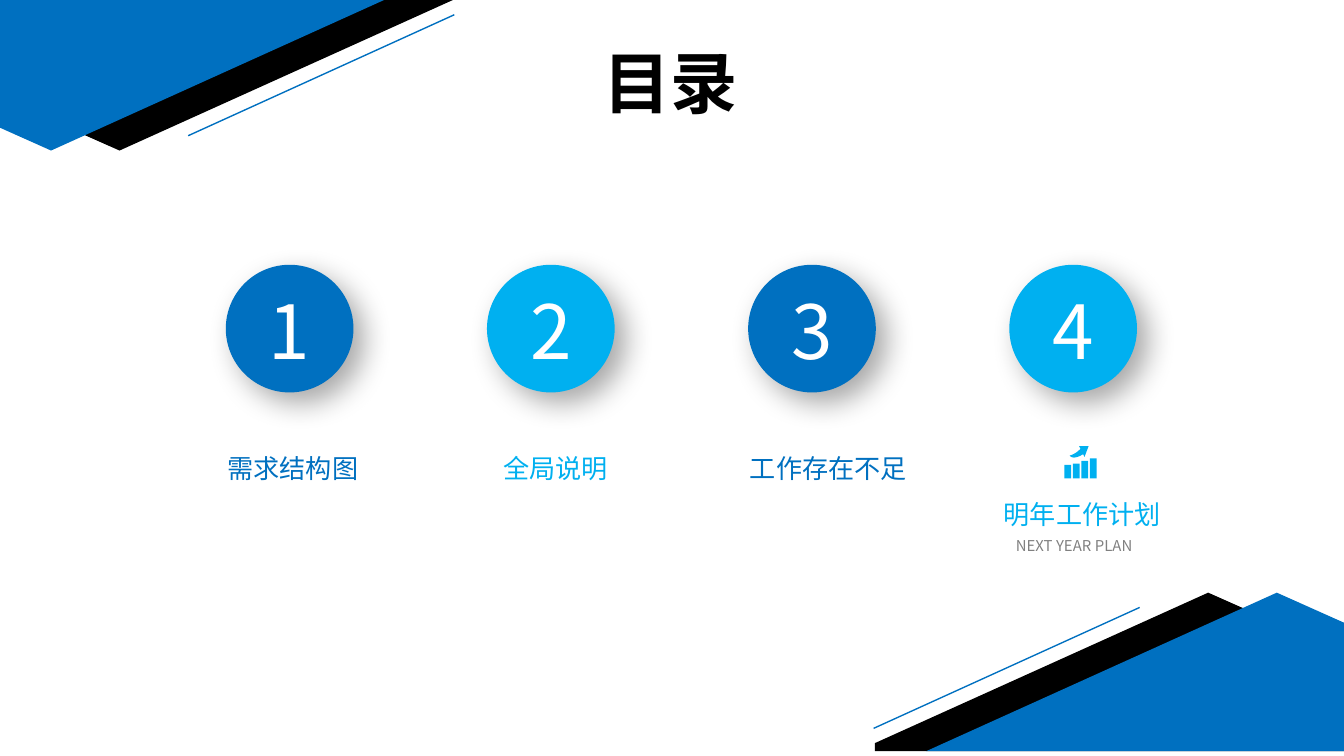
from lxml import etree
from pptx import Presentation
from pptx.dml.color import RGBColor
from pptx.enum.shapes import MSO_CONNECTOR, MSO_SHAPE
from pptx.enum.text import MSO_ANCHOR, PP_ALIGN
from pptx.oxml import parse_xml
from pptx.oxml.ns import qn
from pptx.util import Inches, Pt

OVAL, RECTANGLE = MSO_SHAPE.OVAL, MSO_SHAPE.RECTANGLE
STRAIGHT = MSO_CONNECTOR.STRAIGHT
LEFT, CENTER, JUSTIFY = PP_ALIGN.LEFT, PP_ALIGN.CENTER, PP_ALIGN.JUSTIFY
TOP, MIDDLE = MSO_ANCHOR.TOP, MSO_ANCHOR.MIDDLE
NAMESPACE = "http://schemas.openxmlformats.org/drawingml/2006/main"
FONT = "Noto Sans CJK SC"
COLORS = {
    "blue": "0070C0",
    "sky": "00B0F0",
    "black": "000000",
    "white": "FFFFFF",
    "gray": "808080",
}
SLIDE_WIDTH = Inches(10)
SLIDE_HEIGHT = SLIDE_WIDTH * 9 // 16
CIRCLE = 0.95
FIRST_LEFT, LAST_LEFT, CIRCLE_TOP = 1.68, 7.51, 1.97
LABELS = [
    ("需求结构图", "blue", (1.48, 3.32, 1.4, 0.34), CENTER),
    ("全局说明", "sky", (3.64, 3.32, 0.99, 0.34), CENTER),
    ("工作存在不足", "blue", (5.43, 3.32, 1.47, 0.34), CENTER),
    ("明年工作计划", "sky", (7.37, 3.66, 1.42, 0.34), LEFT),
]


def color(name):
    """Return the named palette colour."""
    return RGBColor.from_string(COLORS[name])


def write(shape, text, size=14, fill="black", font=FONT, bold=False,
          align=LEFT, anchor=TOP, wrap=True):
    """Write one formatted paragraph into a shape."""
    frame = shape.text_frame
    frame.word_wrap = wrap
    frame.vertical_anchor = anchor
    paragraph = frame.paragraphs[0]
    paragraph.alignment = align
    run = paragraph.add_run()
    run.text = text
    run.font.name = font
    run.font.size = Pt(size)
    run.font.bold = bold
    run.font.color.rgb = color(fill)
    east_asian = etree.SubElement(run.font._element, qn("a:ea"))
    east_asian.set("typeface", FONT)


def add_text(slide, box, text, **style):
    """Add a text box with formatted text."""
    write(slide.shapes.add_textbox(*map(Inches, box)), text, **style)


def paint(shape, fill):
    """Give a shape a flat fill without line or shadow."""
    shape.fill.solid()
    shape.fill.fore_color.rgb = color(fill)
    shape.line.fill.background()
    shape.shadow.inherit = False


def add_polygon(slide, points, fill):
    """Add a closed outline through points given in inches."""
    start, *rest = [(Inches(x), Inches(y)) for x, y in points]
    builder = slide.shapes.build_freeform(*start)
    builder.add_line_segments(rest, close=True)
    paint(builder.convert_to_shape(), fill)


def curve(start, first, second, end, steps=10):
    """Return points along a cubic curve, without its start."""
    def point(t):
        weights = ((1 - t) ** 3, 3 * t * (1 - t) ** 2, 3 * t * t * (1 - t), t ** 3)
        corners = (start, first, second, end)
        return tuple(sum(w * c[axis] for w, c in zip(weights, corners)) for axis in (0, 1))
    return [point(step / steps) for step in range(1, steps + 1)]


def add_corner(slide, box, turned=False):
    """Place the slanted corner bands in a box, optionally turned by 180 degrees."""
    left, top, width, height = box

    def place(x, y):
        return (left + width - x, top + height - y) if turned else (left + x, top + y)

    black_band = [(5.63, 0), (5.63, 0.06), (3.15, 1.18), (0.49, 0)]
    blue_band = [(5.25, 0), (2.64, 1.18), (0, 0)]
    for points, fill in ((black_band, "black"), (blue_band, "blue")):
        add_polygon(slide, [place(*point) for point in points], fill)
    ends = place(3.66, 1.07) + place(5.64, 0.17)
    line = slide.shapes.add_connector(STRAIGHT, *map(Inches, ends))
    line.line.color.rgb = color("blue")
    line.line.width = Pt(0.75)
    etree.SubElement(line._element.spPr, qn("a:effectLst"))


def add_number(slide, box, number, fill):
    """Place a shadowed circle with its number in a box."""
    left, top, width, height = box
    circle = slide.shapes.add_shape(OVAL, *map(Inches, box))
    paint(circle, fill)
    properties = circle._element.spPr
    properties.remove(properties.find(qn("a:effectLst")))
    properties.append(parse_xml(
        f'<a:effectLst xmlns:a="{NAMESPACE}">'
        f'<a:outerShdw blurRad="{Pt(16)}" dist="{Pt(8)}" dir="2700000" algn="tl" rotWithShape="0">'
        f'<a:srgbClr val="{COLORS["black"]}"><a:alpha val="35000"/></a:srgbClr>'
        '</a:outerShdw></a:effectLst>'))
    add_text(slide, (left + 0.21, top + 0.1, 0.53, 0.76), str(number), size=40,
             fill="white", align=CENTER, anchor=MIDDLE, wrap=False)


def add_growth_icon(slide, box):
    """Place four rising bars and a curved arrow in a box."""
    left, top, width, height = box
    gap = (width - 0.05) / 3
    for index, bar in enumerate((0.1, 0.11, 0.13, 0.15)):
        bar_box = (left + index * gap, top + height - bar, 0.05, bar)
        paint(slide.shapes.add_shape(RECTANGLE, *map(Inches, bar_box)), "sky")
    tail = (0.04, 0.07)
    arrow = [(0.12, 0.02)]
    arrow += curve(arrow[0], (0.11, 0.03), (0.08, 0.06), tail)
    arrow += curve(tail, (0.04, 0.07), (0.06, 0.11), (0.14, 0.06))
    arrow += [(0.15, 0.08), (0.18, 0), (0.11, 0)]
    add_polygon(slide, [(left + x, top + y) for x, y in arrow], "sky")


def add_title(slide, box, text):
    """Place the title placeholder in a box."""
    title = slide.shapes.title
    title.left, title.top, title.width, title.height = map(Inches, box)
    write(title, text, size=36, font="Calibri", bold=True, wrap=False)


def main():
    """Build and save the contents slide."""
    presentation = Presentation()
    presentation.slide_width, presentation.slide_height = SLIDE_WIDTH, SLIDE_HEIGHT
    slide = presentation.slides.add_slide(presentation.slide_layouts[5])
    add_title(slide, (4.39, 0.26, 1.21, 0.71), "目录")
    step = (LAST_LEFT - FIRST_LEFT) / (len(LABELS) - 1)
    for index, (text, fill, box, align) in enumerate(LABELS):
        circle_box = (FIRST_LEFT + index * step, CIRCLE_TOP, CIRCLE, CIRCLE)
        add_number(slide, circle_box, index + 1, fill)
        add_text(slide, box, text, fill=fill, align=align)
    add_text(slide, (7.46, 3.94, 1.15, 0.24), "NEXT YEAR PLAN", size=8,
             fill="gray", align=JUSTIFY)
    add_growth_icon(slide, (7.92, 3.32, 0.24, 0.24))
    add_corner(slide, (-2.26, -0.06, 5.63, 1.18))
    add_corner(slide, (6.51, 4.41, 5.63, 1.18), turned=True)
    presentation.save("out.pptx")


if __name__ == "__main__":
    main()
